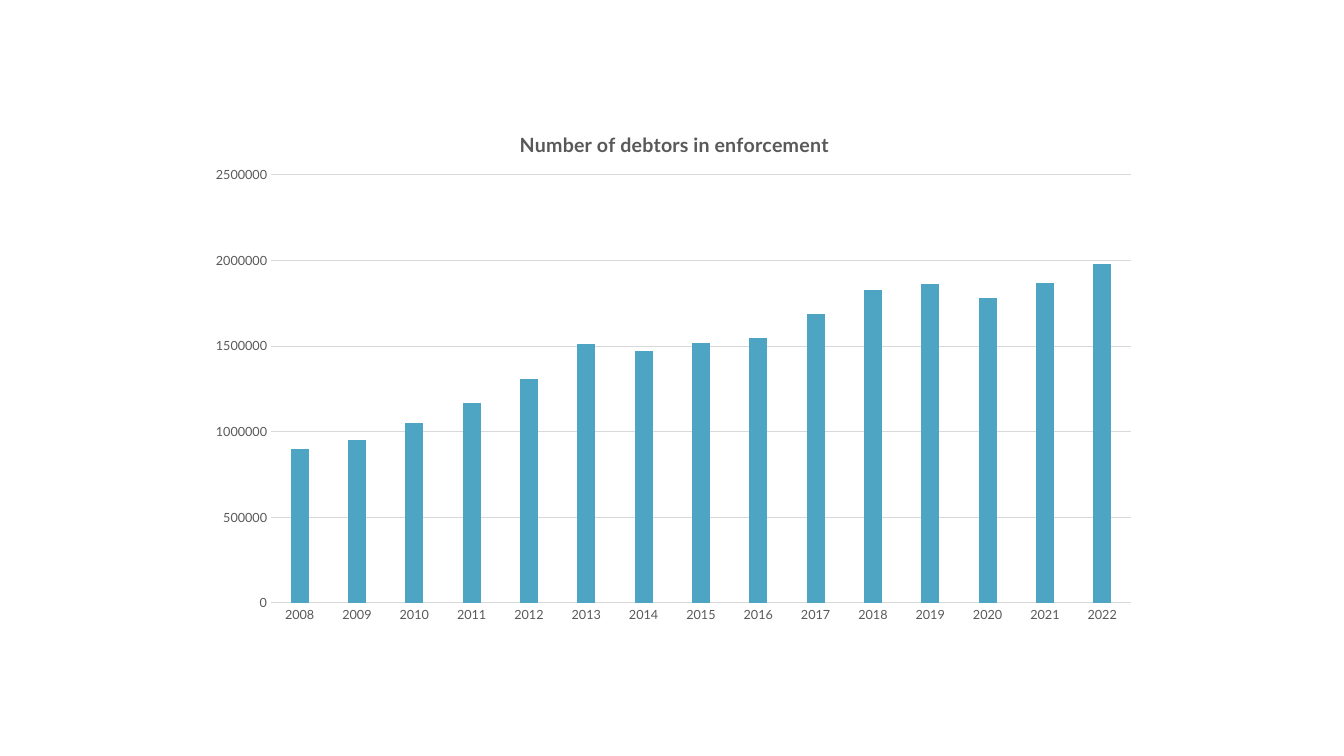
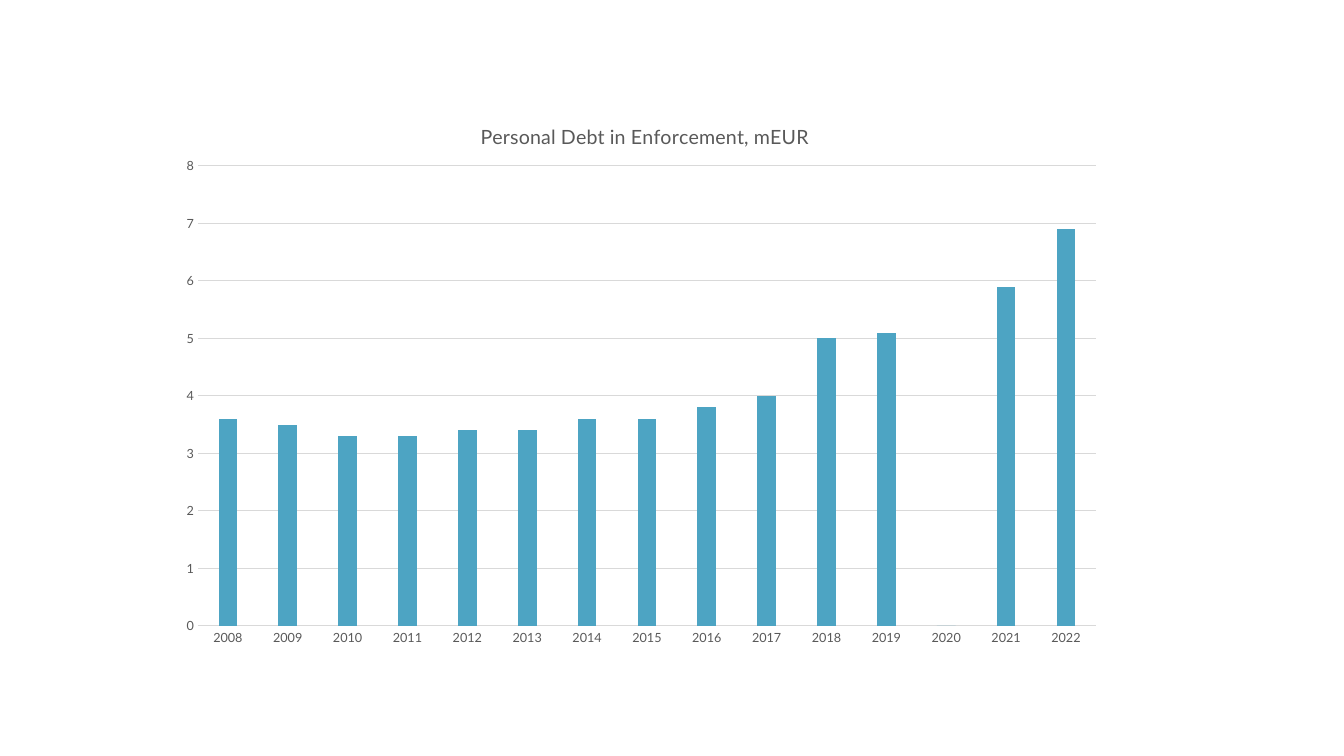
from dataclasses import dataclass

from lxml.etree import SubElement
from pptx import Presentation
from pptx.chart.axis import CategoryAxis, ValueAxis
from pptx.chart.chart import Chart
from pptx.chart.data import CategoryChartData
from pptx.dml.color import RGBColor
from pptx.dml.line import LineFormat
from pptx.enum.chart import XL_CHART_TYPE as ChartType, XL_TICK_MARK as TickMark
from pptx.oxml import parse_xml
from pptx.oxml.ns import nsdecls, qn
from pptx.presentation import Presentation as Deck
from pptx.text.text import Font
from pptx.util import Pt

# Shared style
EMU_PER_PX = 914400 / 100.8
SLIDE_SIZE = (1344, 756)
FONT = "Lato"
COLORS = {"bar": "4DA4C3", "grid": "D9D9D9", "text": "595959", "base": "000000"}
YEARS = [str(year) for year in range(2008, 2023)]


@dataclass(frozen=True)
class Box:
    left: int
    top: int
    width: int
    height: int


@dataclass(frozen=True)
class DebtChart:
    title: str
    bold: bool
    title_at: tuple[int, int]
    frame: Box
    plot: Box
    top_value: float
    step: float
    values: list[float]


DEBT_CHARTS = [
    DebtChart(
        "Number of debtors in enforcement", True, (516, 127),
        Box(197, 105, 954, 529), Box(271, 175, 860, 428), 2500000, 500000,
        [900000, 950000, 1050000, 1170000, 1310000, 1510000, 1470000, 1520000,
         1550000, 1690000, 1830000, 1860000, 1780000, 1870000, 1980000],
    ),
    DebtChart(
        "Personal Debt in Enforcement, mEUR", False, (477, 119),
        Box(168, 97, 948, 559), Box(198, 166, 898, 460), 8, 1,
        [3.6, 3.5, 3.3, 3.3, 3.4, 3.4, 3.6, 3.6, 3.8, 4, 5, 5.1, 0, 5.9, 6.9],
    ),
]


def px(length: int) -> int:
    return round(length * EMU_PER_PX)


def color(key: str) -> RGBColor:
    return RGBColor.from_string(COLORS[key])


def style_font(font: Font, size: int, key: str = "text", bold: bool = False) -> None:
    font.name = FONT
    font.size = Pt(size)
    font.bold = bold
    font.color.rgb = color(key)


def style_line(line: LineFormat) -> None:
    line.color.rgb = color("grid")
    line.width = Pt(0.75)


def style_axis(axis: CategoryAxis | ValueAxis) -> None:
    axis.major_tick_mark = axis.minor_tick_mark = TickMark.NONE
    style_font(axis.tick_labels.font, 9)


def place(chart: Chart, parent_path: str, index: int, settings: dict) -> None:
    """Give a chart part a fixed layout, in fractions of the chart frame."""
    parent = chart.element.xpath(parent_path)[0]
    for old in parent.findall(qn("c:layout")):
        parent.remove(old)
    layout = parse_xml(f"<c:layout {nsdecls('c')}><c:manualLayout/></c:layout>")
    for tag, value in settings.items():
        SubElement(layout[0], qn(f"c:{tag}")).set("val", str(value))
    parent.insert(index, layout)


def draw_chart(deck: Deck, debt: DebtChart) -> None:
    slide = deck.slides.add_slide(deck.slide_layouts[6])
    data = CategoryChartData(number_format="General")
    data.categories = YEARS
    data.add_series("Series 1", debt.values)
    frame = debt.frame
    chart = slide.shapes.add_chart(
        ChartType.COLUMN_CLUSTERED, px(frame.left), px(frame.top),
        px(frame.width), px(frame.height), data,
    ).chart
    style_font(chart.font, 10, "base")
    chart.has_legend = False

    # Title
    chart.has_title = True
    run = chart.chart_title.text_frame.paragraphs[0].add_run()
    run.text = debt.title
    style_font(run.font, 14, bold=debt.bold)
    chart.chart_title.include_in_layout = False

    # Axes
    style_axis(chart.category_axis)
    style_line(chart.category_axis.format.line)
    value_axis = chart.value_axis
    style_axis(value_axis)
    value_axis.format.line.fill.background()
    value_axis.minimum_scale = 0
    value_axis.maximum_scale = debt.top_value
    value_axis.major_unit = debt.step
    value_axis.has_major_gridlines = True
    style_line(value_axis.major_gridlines.format.line)

    # Columns
    columns = chart.plots[0]
    columns.gap_width = 219
    columns.overlap = -27
    columns.vary_by_categories = False
    fill = columns.series[0].format.fill
    fill.solid()
    fill.fore_color.rgb = color("bar")

    # Positions inside the frame
    def fractions(left: int, top: int) -> dict:
        return {"x": (left - frame.left) / frame.width,
                "y": (top - frame.top) / frame.height}

    edges = {"xMode": "edge", "yMode": "edge"}
    place(chart, "c:chart/c:title", 1, edges | fractions(*debt.title_at))
    plot = debt.plot
    place(chart, "c:chart/c:plotArea", 0,
          {"layoutTarget": "inner"} | edges | fractions(plot.left, plot.top)
          | {"w": plot.width / frame.width, "h": plot.height / frame.height})


def main() -> None:
    deck = Presentation()
    deck.slide_width, deck.slide_height = map(px, SLIDE_SIZE)
    for debt in DEBT_CHARTS:
        draw_chart(deck, debt)
    deck.save("out.pptx")


if __name__ == "__main__":
    main()
